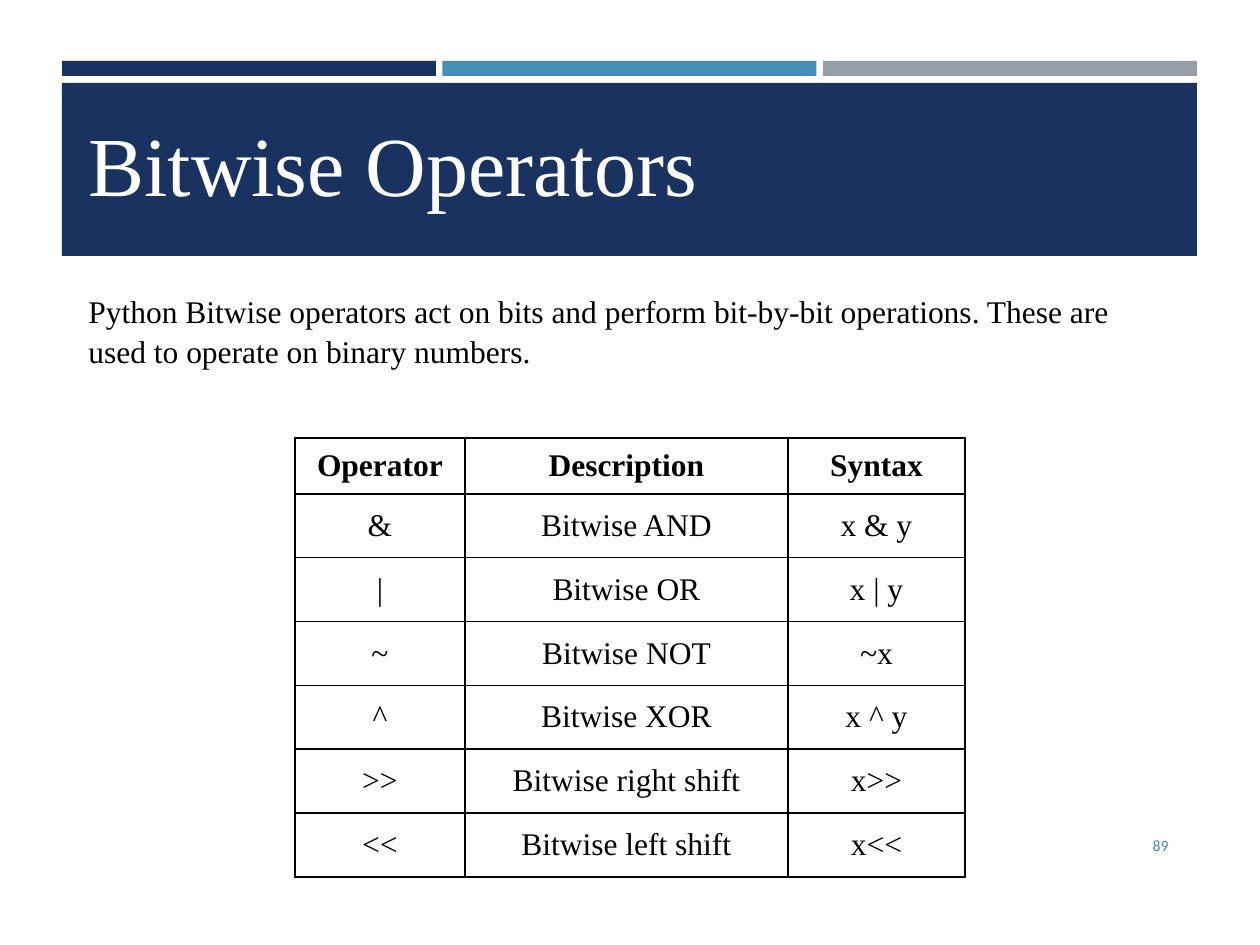
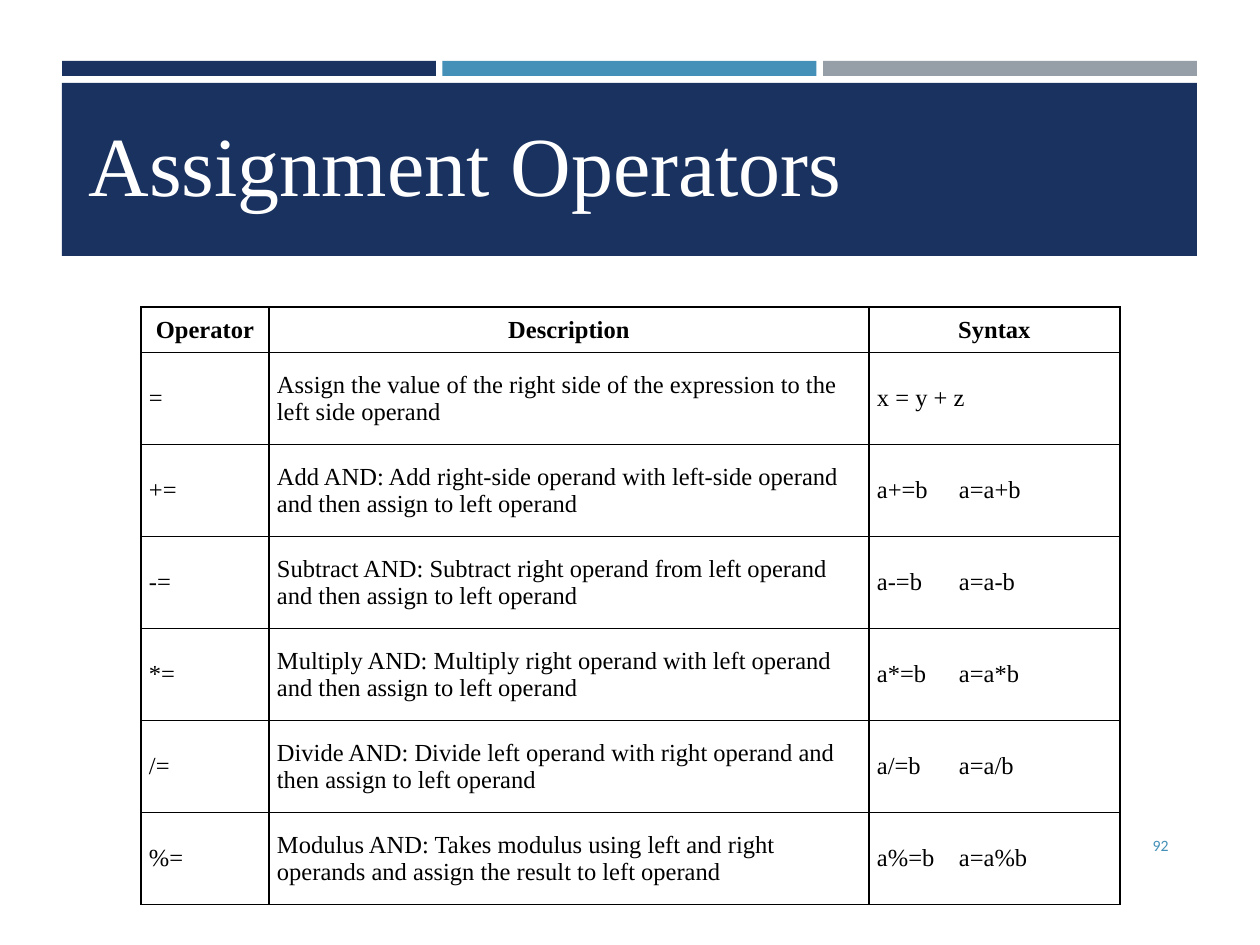
from lxml import etree
from pptx import Presentation
from pptx import util as u
from pptx.dml.color import RGBColor
from pptx.enum import shapes, text
from pptx.oxml import ns

NAVY = RGBColor(0x1A, 0x32, 0x60)
BLUE = RGBColor(0x45, 0x90, 0xB8)
GREY = RGBColor(0x96, 0x9F, 0xA7)
WHITE = RGBColor(0xFF, 0xFF, 0xFF)
BLACK = RGBColor(0, 0, 0)
SERIF = "Times New Roman"
SANS = "Calibri"
PX_PER_INCH = 126
TITLE_ONLY = 5

FRAME = (62, 61, 1135, 195)
TITLE = (76, 105, 1072, 115)
INTRO = (76, 284, 1087, 89)
PAGE_NUMBER = (1075, 820, 106, 50)
SYNTAX_TAB = 82

LEFT, CENTER, RIGHT = text.PP_ALIGN.LEFT, text.PP_ALIGN.CENTER, text.PP_ALIGN.RIGHT
TOP, MIDDLE, BOTTOM = (text.MSO_ANCHOR.TOP, text.MSO_ANCHOR.MIDDLE,
                       text.MSO_ANCHOR.BOTTOM)

HEADERS = ("Operator", "Description", "Syntax")
BITWISE_ROWS = (
    ("&", "Bitwise AND", "x & y"),
    ("|", "Bitwise OR", "x | y"),
    ("~", "Bitwise NOT", "~x"),
    ("^", "Bitwise XOR", "x ^ y"),
    (">>", "Bitwise right shift", "x>>"),
    ("<<", "Bitwise left shift", "x<<"),
)
ASSIGNMENT_ROWS = (
    ("=", "Assign the value of the right side of the expression to the left side operand",
     "x = y + z"),
    ("+=", "Add AND: Add right-side operand with left-side operand and then assign "
     "to left operand", "a+=b\ta=a+b"),
    ("-=", "Subtract AND: Subtract right operand from left operand and then assign "
     "to left operand", "a-=b\ta=a-b"),
    ("*=", "Multiply AND: Multiply right operand with left operand and then assign "
     "to left operand", "a*=b\ta=a*b"),
    ("/=", "Divide AND: Divide left operand with right operand and then assign "
     "to left operand", "a/=b\ta=a/b"),
    ("%=", "Modulus AND: Takes modulus using left and right operands and assign "
     "the result to left operand", "a%=b\ta=a%b"),
)


def px(n):
    return u.Emu(round(n * u.Inches(1) / PX_PER_INCH))


def set_all(obj, values):
    for name, value in values.items():
        setattr(obj, name, value)


def write(tf, content, size, color, font=SERIF, align=LEFT, bold=False):
    p = tf.paragraphs[0]
    p.alignment = align
    r = p.add_run()
    r.text = content
    set_all(r.font, {"name": font, "size": u.Pt(size), "bold": bold})
    r.font.color.rgb = color
    return p


def add_bar(s, box, color):
    sp = s.shapes.add_shape(shapes.MSO_SHAPE.RECTANGLE, *map(px, box))
    sp.shadow.inherit = False
    sp.fill.solid()
    sp.fill.fore_color.rgb = color
    sp.line.fill.background()
    return sp


def add_frame(s, box):
    left, top, width, height = box
    bar_width, bar_height, band_offset = 374, 15, 22
    colors = (NAVY, BLUE, GREY)
    step = (width - bar_width) / (len(colors) - 1)
    bars = [add_bar(s, (left + i * step, top, bar_width, bar_height), color)
            for i, color in enumerate(colors)]
    bars.append(add_bar(s, (left, top + band_offset, width, height - band_offset), NAVY))
    tree = s.slide_layout.shapes._spTree
    for i, sp in enumerate(bars):
        sp._element.nvSpPr.cNvPr.set("id", str(20 + i))
        tree.append(sp._element)


def add_title(s, box, content):
    sp = s.shapes.title
    set_all(sp, dict(zip(("left", "top", "width", "height"), map(px, box))))
    set_all(sp.text_frame, {"vertical_anchor": BOTTOM, "word_wrap": True,
                            "auto_size": text.MSO_AUTO_SIZE.NONE})
    write(sp.text_frame, content, 48, WHITE)


def add_text(s, box, content, size, color, anchor=TOP, **style):
    tf = s.shapes.add_textbox(*map(px, box)).text_frame
    set_all(tf, {"word_wrap": True, "vertical_anchor": anchor})
    return write(tf, content, size, color, **style)


def add_borders(cell):
    tc_pr = cell._tc.get_or_add_tcPr()
    for i, side in enumerate(("lnL", "lnR", "lnT", "lnB")):
        ln = etree.Element(ns.qn(f"a:{side}"), w=str(u.Pt(1)))
        fill = etree.SubElement(ln, ns.qn("a:solidFill"))
        etree.SubElement(fill, ns.qn("a:srgbClr"), val=str(BLACK))
        tc_pr.insert(i, ln)


def add_tab(p, position):
    tabs = etree.SubElement(p._p.get_or_add_pPr(), ns.qn("a:tabLst"))
    etree.SubElement(tabs, ns.qn("a:tab"), pos=str(px(position)), algn="l")


def fill_cell(cell, content, size, align, bold, pad_x, pad_y):
    set_all(cell, {"vertical_anchor": MIDDLE,
                   "margin_left": px(pad_x), "margin_right": px(pad_x),
                   "margin_top": px(pad_y), "margin_bottom": px(pad_y)})
    cell.fill.solid()
    cell.fill.fore_color.rgb = WHITE
    p = write(cell.text_frame, content, size, BLACK, align=align, bold=bold)
    if "\t" in content:
        add_tab(p, SYNTAX_TAB)
    add_borders(cell)


def add_operator_table(s, origin, widths, head_height, row_height, rows, size, align,
                       pad_x, pad_y):
    heights = [head_height] + [row_height] * len(rows)
    box = (*origin, sum(widths), sum(heights))
    table = s.shapes.add_table(len(heights), len(widths), *map(px, box)).table
    set_all(table, {"first_row": False, "horz_banding": False})
    for column, width in zip(table.columns, widths):
        column.width = px(width)
    for i, (row, height, values) in enumerate(zip(table.rows, heights, (HEADERS, *rows))):
        row.height = px(height)
        head = i == 0
        for j, (cell, value) in enumerate(zip(row.cells, values)):
            fill_cell(cell, value, size, CENTER if head else align, head,
                      5 if head and j == 0 else pad_x, pad_x if head else pad_y)


def add_operator_slide(prs, title, number):
    s = prs.slides.add_slide(prs.slide_layouts[TITLE_ONLY])
    add_title(s, TITLE, title)
    add_text(s, PAGE_NUMBER, number, 9, BLUE, MIDDLE, font=SANS, align=RIGHT)
    return s


def build_bitwise(prs):
    s = add_operator_slide(prs, "Bitwise Operators", "89")
    add_frame(s, FRAME)
    p = add_text(s, INTRO, "Python Bitwise operators act on bits and perform bit-by-bit "
                 "operations. These are used to operate on binary numbers.", 18, BLACK)
    p.line_spacing = 1.05
    add_operator_table(s, (295, 438), (170, 323, 177), 55, 62, BITWISE_ROWS,
                       18, CENTER, 9, 13)


def build_assignment(prs):
    s = add_operator_slide(prs, "Assignment Operators", "92")
    add_operator_table(s, (141, 307), (128, 600, 251), 45, 92, ASSIGNMENT_ROWS,
                       14, LEFT, 8, 11)


def main():
    prs = Presentation()
    set_all(prs, {"slide_width": u.Inches(10), "slide_height": u.Inches(7.5)})
    build_bitwise(prs)
    build_assignment(prs)
    prs.save("out.pptx")


if __name__ == "__main__":
    main()
